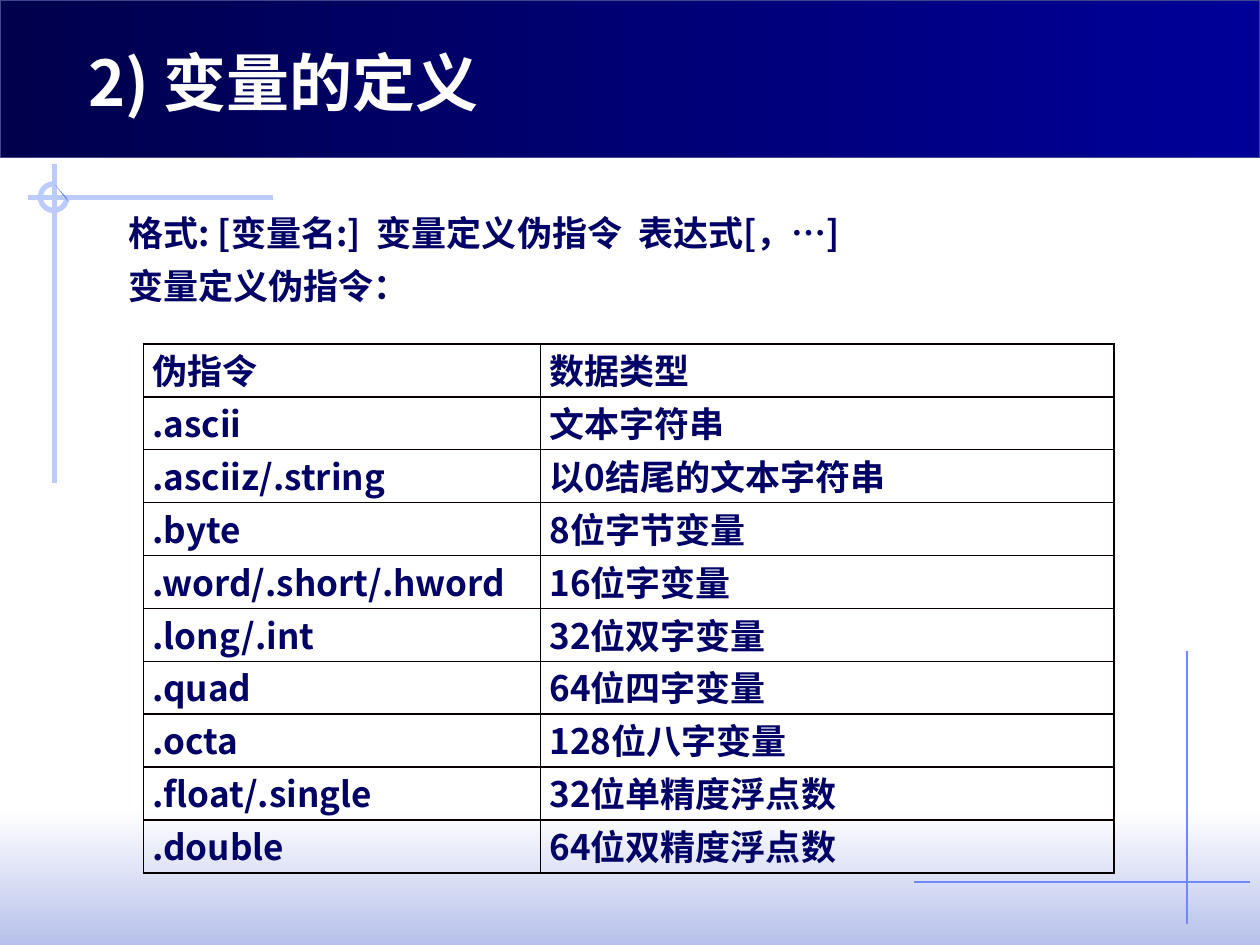
"""Build a slide that explains variable definition directives."""
from dataclasses import dataclass
from typing import Any

from lxml import etree
from pptx import Presentation, util as u
from pptx.dml.color import RGBColor
from pptx.enum import shapes, text
from pptx.oxml import ns

DIRECTIVES = [
    ("伪指令", "数据类型"),
    (".ascii", "文本字符串"),
    (".asciiz/.string", "以0结尾的文本字符串"),
    (".byte", "8位字节变量"),
    (".word/.short/.hword", "16位字变量"),
    (".long/.int", "32位双字变量"),
    (".quad", "64位四字变量"),
    (".octa", "128位八字变量"),
    (".float/.single", "32位单精度浮点数"),
    (".double", "64位双精度浮点数"),
]


def rgb(value):
    return RGBColor.from_string(value)


def add_xml(parent, tag, **attributes):
    return etree.SubElement(parent, ns.qn(tag), **attributes)


@dataclass
class SlideBuilder:
    slide: Any
    ink: str = "000066"
    pale: str = "BBCBFD"
    accent: str = "6F89F7"
    body_font: str = "Noto Sans CJK SC"
    title_font: str = "Noto Sans CJK JP"

    def set_words(self, paragraph, words, size=20, color=None, typeface=None):
        paragraph.text = words
        font = paragraph.font
        font.size = u.Pt(size)
        font.bold = True
        font.name = typeface or self.body_font
        font.color.rgb = rgb(color or self.ink)
        add_xml(font._element, "a:ea", typeface=font.name)

    def band(self, top, height, start, end, angle, outline=None):
        box = self.slide.shapes.add_shape(
            shapes.MSO_SHAPE.RECTANGLE, 0, u.Inches(top), u.Inches(10), u.Inches(height))
        box.shadow.inherit = False
        box.fill.gradient()
        box.fill.gradient_angle = angle
        for stop, color, position in zip(box.fill.gradient_stops, (start, end), (0, 1)):
            stop.color.rgb = rgb(color)
            stop.position = position
        if outline:
            box.line.color.rgb = rgb(outline)
            box.line.width = u.Pt(0.75)
        else:
            box.line.fill.background()

    def rule(self, x1, y1, x2, y2, color, width):
        line = self.slide.shapes.add_connector(
            shapes.MSO_CONNECTOR.STRAIGHT, *map(u.Inches, (x1, y1, x2, y2)))
        line.line.color.rgb = rgb(color)
        line.line.width = u.Pt(width)
        add_xml(line._element.spPr, "a:effectLst")

    def ring(self, left, top, size):
        arc = self.slide.shapes.add_shape(
            shapes.MSO_SHAPE.ARC, *map(u.Inches, (left, top, size, size)))
        arc.adjustments[0] = 0
        arc.adjustments[1] = 162
        arc.shadow.inherit = False
        arc.fill.background()
        arc.line.color.rgb = rgb(self.pale)
        arc.line.width = u.Pt(3)

    def sliver(self, start, *points):
        pen = self.slide.shapes.build_freeform(*map(u.Inches, start))
        pen.add_line_segments([(u.Inches(x), u.Inches(y)) for x, y in points])
        shape = pen.convert_to_shape()
        shape.shadow.inherit = False
        shape.fill.solid()
        shape.fill.fore_color.rgb = rgb(self.accent)
        shape.line.fill.background()

    def textbox(self, left, top, width, height, anchor):
        box = self.slide.shapes.add_textbox(*map(u.Inches, (left, top, width, height)))
        frame = box.text_frame
        frame.word_wrap = True
        frame.vertical_anchor = anchor
        return frame

    def title(self, words):
        frame = self.textbox(0.6, 0.29, 8.12, 0.71, text.MSO_ANCHOR.MIDDLE)
        self.set_words(frame.paragraphs[0], words, 36, "FFFFFF", self.title_font)

    def body(self, *lines):
        frame = self.textbox(0.51, 1.55, 8.51, 1.03, text.MSO_ANCHOR.TOP)
        for index, words in enumerate(lines):
            paragraph = frame.add_paragraph() if index else frame.paragraphs[0]
            paragraph._p.get_or_add_pPr().set("marL", str(u.Inches(0.41)))
            paragraph.line_spacing = 1.25
            self.set_words(paragraph, words)

    def border(self, cell):
        properties = cell._tc.get_or_add_tcPr()
        for index, side in enumerate(("a:lnL", "a:lnR", "a:lnT", "a:lnB")):
            edge = etree.Element(ns.qn(side), w=str(u.Pt(1)))
            add_xml(add_xml(edge, "a:solidFill"), "a:srgbClr", val="080000")
            properties.insert(index, edge)

    def table(self, rows, left, top, widths, row_height):
        frame = self.slide.shapes.add_table(
            len(rows), len(widths), u.Inches(left), u.Inches(top),
            u.Inches(sum(widths)), u.Inches(row_height * len(rows)))
        grid = frame.table
        grid.first_row = grid.horz_banding = False
        for column, width in zip(grid.columns, widths):
            column.width = u.Inches(width)
        for row, values in zip(grid.rows, rows):
            row.height = u.Inches(row_height)
            for cell, words in zip(row.cells, values):
                cell.margin_left = cell.margin_right = u.Inches(0.07)
                cell.margin_top = cell.margin_bottom = 0
                cell.fill.background()
                self.border(cell)
                self.set_words(cell.text_frame.paragraphs[0], words)


def main():
    deck = Presentation()
    deck.slide_width, deck.slide_height = u.Inches(10), u.Inches(7.5)
    page = SlideBuilder(deck.slides.add_slide(deck.slide_layouts[6]))
    page.band(6.42, 1.08, "FFFFFF", "B7C1EB", 270)
    page.rule(9.42, 5.17, 9.42, 7.33, page.accent, 0.75)
    page.rule(2.17, 1.57, 0.22, 1.57, page.pale, 3)
    page.rule(0.43, 1.3, 0.43, 3.83, page.pale, 3)
    page.ring(0.32, 1.46, 0.21)
    page.sliver((0.43, 1.46), (0.53, 1.57), (0.54, 1.6))
    page.band(0, 1.25, "00004D", "000099", 0, "40458C")
    page.rule(7.25, 7, 9.92, 7, page.accent, 0.75)
    page.title("2) 变量的定义")
    page.body("格式: [变量名:]  变量定义伪指令  表达式[，…]", "变量定义伪指令：")
    page.table(DIRECTIVES, 1.14, 2.73, (3.15, 4.55), 0.42)
    deck.save("out.pptx")


if __name__ == "__main__":
    main()
